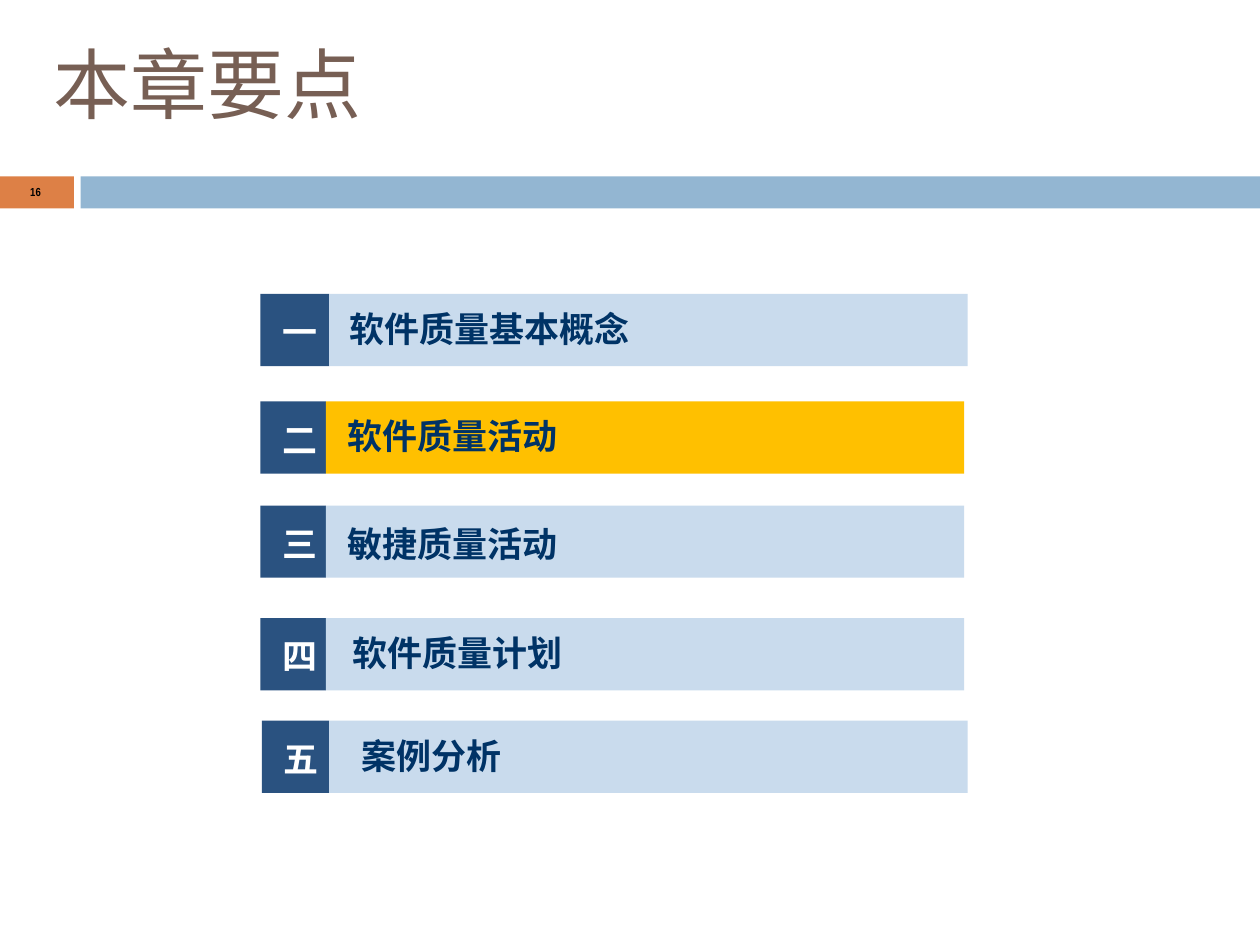
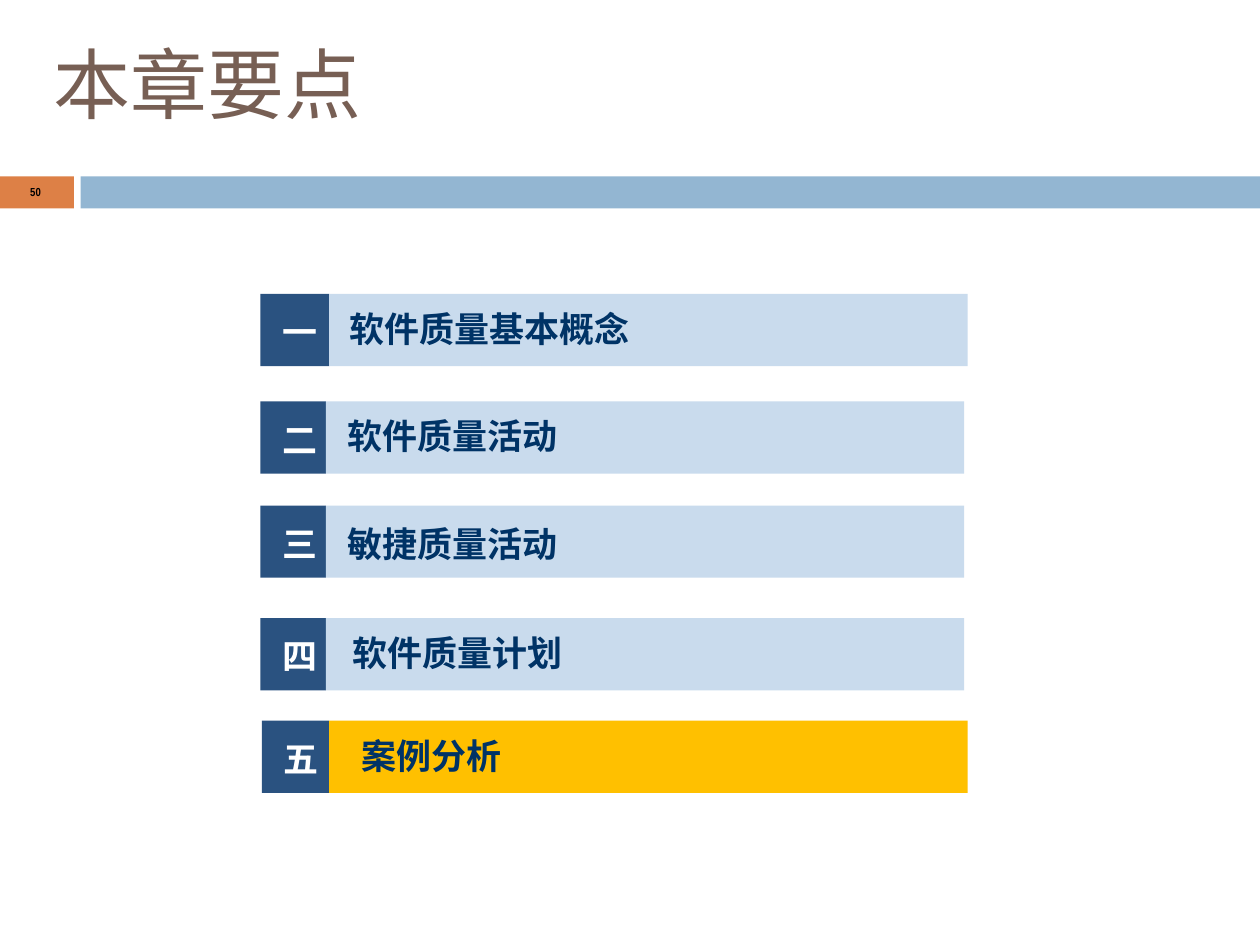
from pptx import Presentation
from pptx.dml.color import RGBColor
from pptx.enum.shapes import MSO_SHAPE
from pptx.enum.text import MSO_ANCHOR, PP_ALIGN
from pptx.oxml.ns import qn
from pptx.util import Inches, Pt

COLORS = {
    "title": "775F54", "orange": "DD8046", "band": "93B6D2",
    "navy": "2A5280", "pale": "C9DBED", "gold": "FFC000",
    "label": "003366", "white": "FFFFFF", "black": "000000",
}
HAN = "Noto Sans CJK SC"
LATIN = "Arial Narrow"
WIDTH = 7.5
HEIGHT = WIDTH * 3 / 4
BAR_W, BAR_H = 3.8, 0.43

# Mark, label, left, split between mark and bar, top, label indent, label drop
ROWS = [
    ("一", "软件质量基本概念", 1.55, 1.96, 1.75, 0.12, 0.08),
    ("二", "软件质量活动", 1.55, 1.94, 2.39, 0.13, 0.08),
    ("三", "敏捷质量活动", 1.55, 1.94, 3.01, 0.13, 0.1),
    ("四", "软件质量计划", 1.55, 1.94, 3.68, 0.16, 0.08),
    ("五", "案例分析", 1.56, 1.96, 4.29, 0.19, 0.08),
]


def color(name):
    return RGBColor.from_string(COLORS[name])


def write(shape, text, size, ink, left, top, bold=True, font=HAN):
    frame = shape.text_frame
    frame.word_wrap = False
    frame.vertical_anchor = MSO_ANCHOR.TOP
    frame.margin_left, frame.margin_top = Inches(left), Inches(top)
    frame.margin_right = frame.margin_bottom = 0
    para = frame.paragraphs[0]
    para.text = text
    para.alignment = PP_ALIGN.LEFT
    para.font.name = font
    para.font.size = Pt(size)
    para.font.bold = bold
    para.font.color.rgb = color(ink)
    if font == HAN:
        # East Asian face
        props = para.runs[0].font
        props.name = font
        face = props._element.makeelement(qn("a:ea"), {"typeface": font})
        props._element.find(qn("a:latin")).addnext(face)


def block(slide, left, top, width, height, fill):
    shape = slide.shapes.add_shape(
        MSO_SHAPE.RECTANGLE, Inches(left), Inches(top),
        Inches(width), Inches(height))
    shape.shadow.inherit = False
    shape.fill.solid()
    shape.fill.fore_color.rgb = color(fill)
    shape.line.fill.background()
    return shape


def label(slide, left, top, width, height):
    return slide.shapes.add_textbox(
        Inches(left), Inches(top), Inches(width), Inches(height))


def frame(slide, title, number):
    # Bands, title and page number
    block(slide, 0, 1.05, 0.44, 0.19, "orange")
    block(slide, 0.48, 1.05, WIDTH - 0.48, 0.19, "band")
    write(label(slide, 0.3, 0.21, 1.86, 0.58), title, 33, "title",
          0.02, 0.01, bold=False)
    write(label(slide, 0.17, 1.08, 0.09, 0.12), number, 5, "black",
          0.01, 0.02, font=LATIN)


def agenda(slide, active):
    # Numbered bars, with the active one in gold
    for mark, text, left, split, top, indent, drop in ROWS:
        box = block(slide, left, top, split - left, BAR_H, "navy")
        write(box, mark, 15, "white", 0.13, 0.1)
        fill = "gold" if mark == active else "pale"
        bar = block(slide, split, top, BAR_W, BAR_H, fill)
        write(bar, text, 15, "label", indent, drop)


def main():
    deck = Presentation()
    deck.slide_width, deck.slide_height = Inches(WIDTH), Inches(HEIGHT)
    for number, active in (("16", "二"), ("50", "五")):
        slide = deck.slides.add_slide(deck.slide_layouts[6])
        frame(slide, "本章要点", number)
        agenda(slide, active)
    deck.save("out.pptx")


if __name__ == "__main__":
    main()
